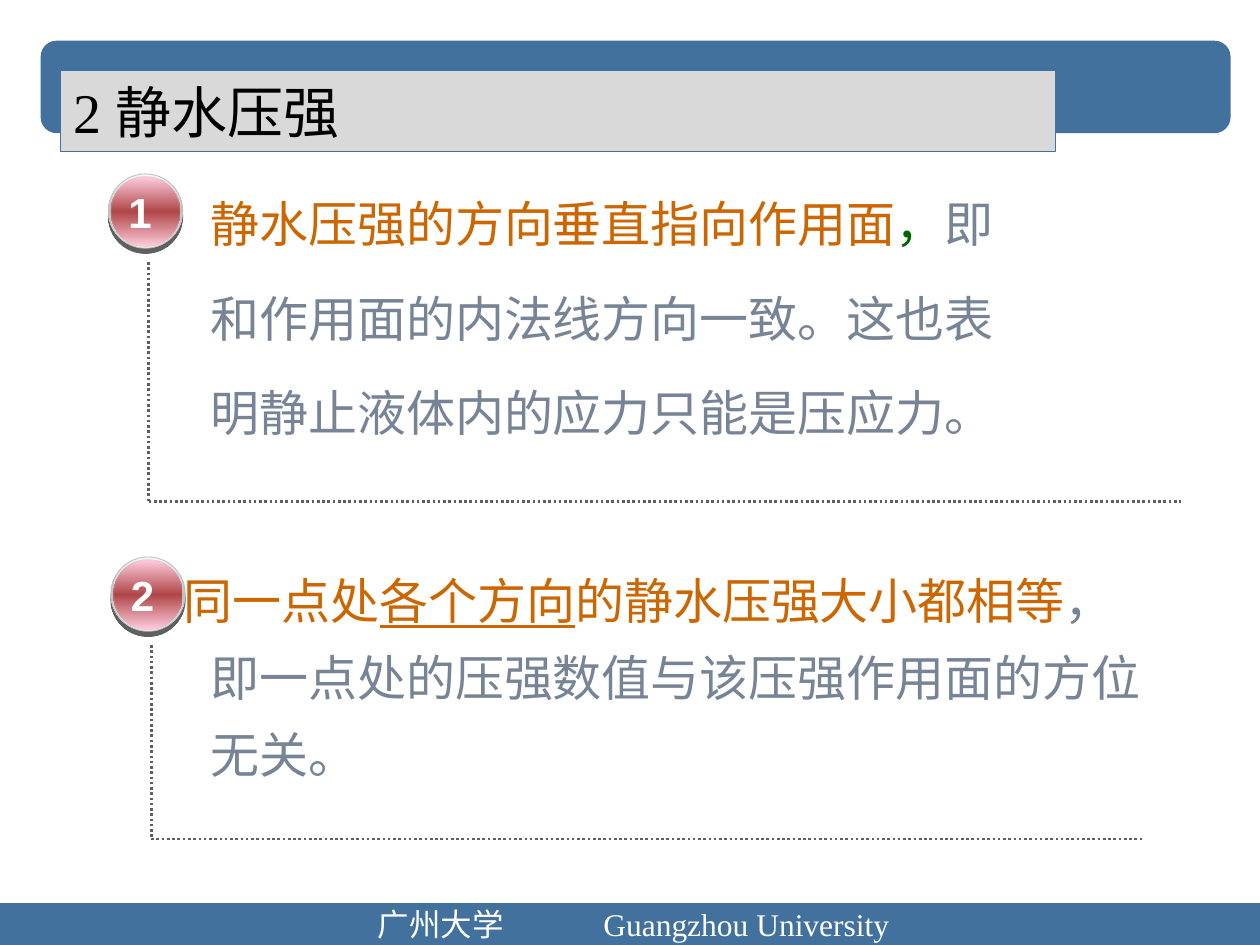
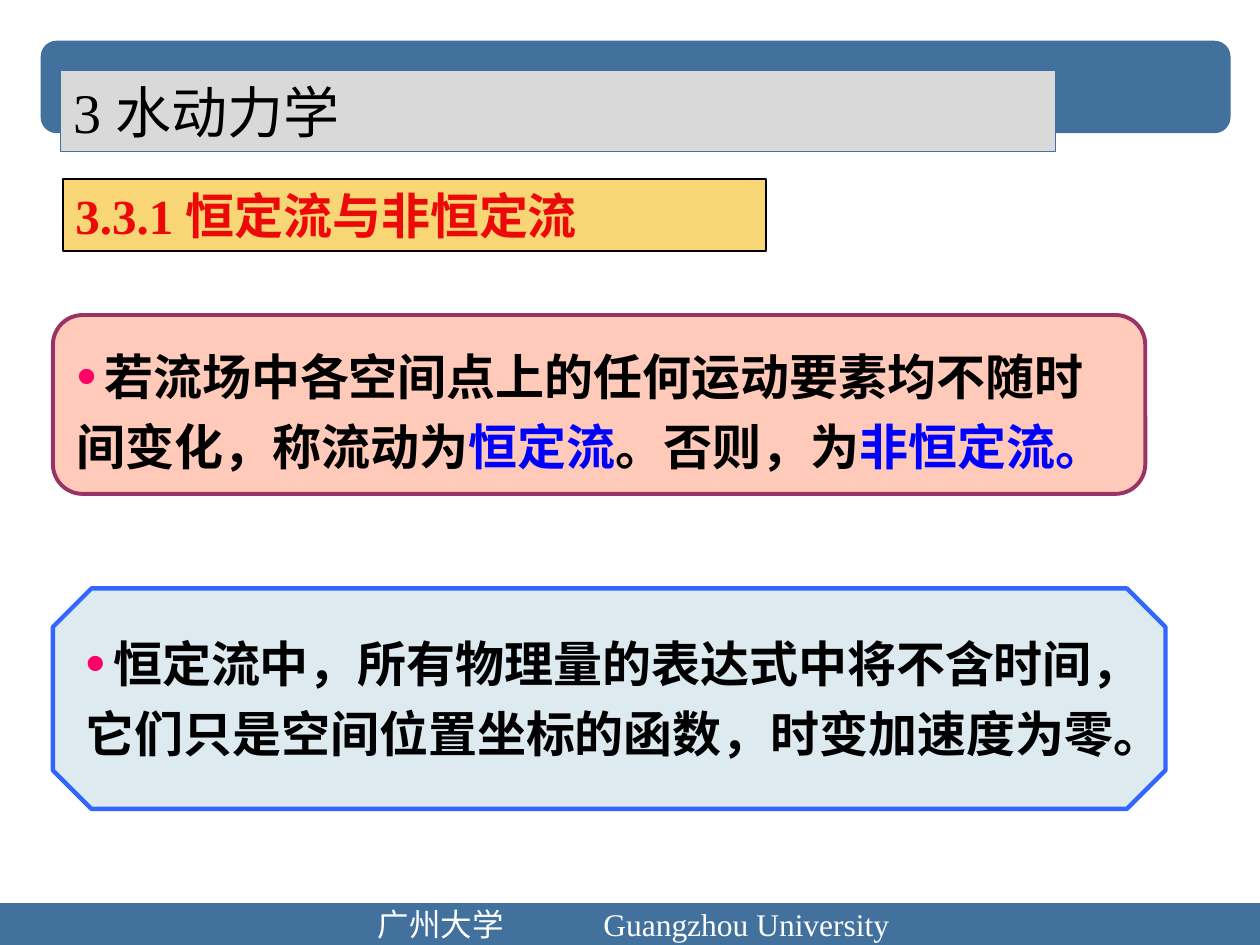
from dataclasses import dataclass

from lxml import etree
from pptx import Presentation
from pptx.dml.color import RGBColor
from pptx.enum.dml import MSO_LINE
from pptx.enum.shapes import MSO_CONNECTOR, MSO_SHAPE as SHAPE
from pptx.enum.text import MSO_ANCHOR as ANCHOR, MSO_AUTO_SIZE as AUTO_SIZE, PP_ALIGN as ALIGN
from pptx.oxml.ns import qn
from pptx.util import Inches, Pt


@dataclass(frozen=True)
class Theme:
    # Fonts
    serif: str = "Times New Roman"
    sans: str = "Arial"
    chinese: str = "Noto Sans CJK SC"
    # Type sizes
    title_size: int = 32
    body_size: int = 28
    badge_size: int = 24
    bullet_gap_size: int = 20
    footer_size: int = 18
    # Colours
    band: str = "41719C"
    title_fill: str = "D9D9D9"
    white: str = "FFFFFF"
    black: str = "000000"
    orange: str = "CC6600"
    green: str = "006600"
    slate: str = "778495"
    blue: str = "0000FF"
    red: str = "EB0909"
    pink: str = "FF0066"
    heading_fill: str = "F8D575"
    peach: str = "FFCAB9"
    plum: str = "993366"
    ice: str = "BCD7E2"
    royal: str = "3366FF"
    dark_grey: str = "5F5F5F"
    rim: str = "BFBFBF"
    rim_gradient: tuple = ("F9F9F9", "BFBFBF", "F9F9F9")
    ball_gradient: tuple = ("FFCDDE", "B04648", "FFCDDE")


def add_xml(parent, tag, **attributes):
    return etree.SubElement(parent, qn(tag), {key: str(value) for key, value in attributes.items()})


def set_alpha(properties, percent):
    """Make the solid colour inside the given element translucent."""
    color = properties.find(qn("a:solidFill")).find(qn("a:srgbClr"))
    add_xml(color, "a:alpha", val=percent * 1000)


class Deck:
    """Holds the theme and the slide being built."""

    def __init__(self, theme):
        self.theme = theme
        self.presentation = Presentation()
        self.presentation.slide_width = Inches(10)
        self.presentation.slide_height = Inches(7.5)
        self.slide = None

    def new_slide(self, title):
        first = self.slide is None
        layout = self.presentation.slide_layouts[3]
        self.slide = self.presentation.slides.add_slide(layout)
        if first:
            self.master_bands()
        self.title(title)

    def master_bands(self):
        """Build the top band and the footer, and hand them to the master."""
        theme = self.theme
        top_band = self.box(SHAPE.ROUNDED_RECTANGLE, (0.33, 0.33, 9.43, 0.72), theme.band, theme.band)
        bottom_band = self.box(SHAPE.RECTANGLE, (0, 7.17, 10, 0.33), theme.band, theme.band)
        footer = self.text((2.9, 7.13, 5.35, 0.4), "广州大学\tGuangzhou University",
                           theme.serif, theme.footer_size, theme.white)
        properties = footer.text_frame.paragraphs[0]._p.get_or_add_pPr()
        tabs = etree.Element(qn("a:tabLst"))
        add_xml(tabs, "a:tab", pos=Inches(1.79), algn="l")
        properties.insert(list(properties).index(properties.find(qn("a:defRPr"))), tabs)
        master_tree = self.presentation.slide_master.shapes.element
        for number, shape in enumerate((top_band, bottom_band, footer), start=101):
            shape.element.nvSpPr.cNvPr.set("id", str(number))
            master_tree.append(shape.element)

    # Shapes and lines

    def place(self, shape, at):
        shape.left, shape.top, shape.width, shape.height = map(Inches, at)

    def paint(self, shape, fill, line, weight):
        shape.fill.solid()
        shape.fill.fore_color.rgb = RGBColor.from_string(fill)
        shape.line.color.rgb = RGBColor.from_string(line)
        shape.line.width = Pt(weight)

    def box(self, kind, at, fill, line, weight=1, adjust=None, alpha=None, shapes=None):
        shapes = self.slide.shapes if shapes is None else shapes
        shape = shapes.add_shape(kind, *map(Inches, at))
        shape.shadow.inherit = False
        self.paint(shape, fill, line, weight)
        if adjust is not None:
            shape.adjustments[0] = adjust
        if alpha is not None:
            set_alpha(shape.element.spPr, alpha)
        return shape

    def ball(self, shapes, at, gradient, weight):
        shape = self.box(SHAPE.OVAL, at, gradient[1], self.theme.rim, weight, shapes=shapes)
        shape.fill.gradient()
        shape.fill.gradient_angle = 90
        stops = shape.element.spPr.find(qn("a:gradFill")).find(qn("a:gsLst"))
        for stop in list(stops):
            stops.remove(stop)
        for position, color in zip((0, 50000, 100000), gradient):
            add_xml(add_xml(stops, "a:gs", pos=position), "a:srgbClr", val=color)
        return shape

    def dotted_line(self, shapes, start, end):
        points = map(Inches, (*start, *end))
        line = shapes.add_connector(MSO_CONNECTOR.STRAIGHT, *points)
        line.line.color.rgb = RGBColor.from_string(self.theme.dark_grey)
        line.line.width = Pt(1.5)
        line.line.dash_style = MSO_LINE.ROUND_DOT
        add_xml(line.element.spPr, "a:effectLst")

    def numbered_frame(self, number, left, top, right, bottom):
        """A glossy numbered ball with a dotted stem and a dotted base line."""
        theme = self.theme
        shapes = self.slide.shapes.add_group_shape().shapes
        rim = self.ball(shapes, (left, top, 0.59, 0.59), theme.rim_gradient, 0.5)
        effects = rim.element.spPr.find(qn("a:effectLst"))
        shadow = add_xml(effects, "a:outerShdw", blurRad=0, dist=Pt(3), dir=5400000, rotWithShape=0)
        add_xml(shadow, "a:srgbClr", val=theme.dark_grey)
        face = self.ball(shapes, (left + 0.02, top + 0.02, 0.55, 0.56), theme.ball_gradient, 0.75)
        set_alpha(face.element.spPr.find(qn("a:ln")), 20)
        self.text((left + 0.06, top + 0.05, 0.5, 0.5), str(number), theme.sans,
                  theme.badge_size, theme.white, bold=True, shapes=shapes)
        corner = (left + 0.32, bottom)
        self.dotted_line(shapes, (left + 0.32, top + 0.7), corner)
        self.dotted_line(shapes, corner, (right, bottom))

    # Text

    def style(self, paragraph, font_name, size, bold=False, color=None):
        font = paragraph.font
        font.name, font.size, font.bold = font_name, Pt(size), bold
        if color:
            font.color.rgb = RGBColor.from_string(color)
        defaults = paragraph._p.get_or_add_pPr().get_or_add_defRPr()
        add_xml(defaults, "a:ea", typeface=self.theme.chinese)

    def one_line(self, shape, text, font_name, size, color, bold=False):
        frame = shape.text_frame
        frame.word_wrap = True
        frame.auto_size = AUTO_SIZE.NONE
        frame.vertical_anchor = ANCHOR.MIDDLE
        frame.text = text
        paragraph = frame.paragraphs[0]
        paragraph.alignment = ALIGN.LEFT
        self.style(paragraph, font_name, size, bold, color)

    def text(self, at, text, font_name, size, color, bold=False, shapes=None):
        shapes = self.slide.shapes if shapes is None else shapes
        shape = shapes.add_textbox(*map(Inches, at))
        self.one_line(shape, text, font_name, size, color, bold)
        return shape

    def title(self, text):
        theme = self.theme
        shape = self.slide.shapes.title
        self.place(shape, (0.48, 0.56, 7.9, 0.64))
        self.paint(shape, theme.title_fill, theme.band, 0.75)
        self.one_line(shape, text, theme.serif, theme.title_size, theme.black)

    def heading(self, at, text):
        theme = self.theme
        shape = self.box(SHAPE.RECTANGLE, at, theme.heading_fill, theme.black)
        self.one_line(shape, text, theme.serif, theme.body_size, theme.red, bold=True)

    def body(self, index, at, paragraphs, spacings, before=0, margin=0, indent=0, bullet=False):
        """Fill a body placeholder; each run is (text, colour, underlined)."""
        theme = self.theme
        shape = self.slide.placeholders[index]
        self.place(shape, at)
        self.slide.shapes.element.append(shape.element)
        frame = shape.text_frame
        frame.word_wrap = True
        frame.auto_size = AUTO_SIZE.NONE
        frame.vertical_anchor = ANCHOR.TOP
        frame.margin_top = Inches(0.08)
        for number, (runs, spacing) in enumerate(zip(paragraphs, spacings)):
            paragraph = frame.add_paragraph() if number else frame.paragraphs[0]
            properties = paragraph._p.get_or_add_pPr()
            properties.set("marL", str(Inches(margin)))
            properties.set("indent", str(Inches(indent)))
            self.bullet(properties, bullet)
            paragraph.alignment = ALIGN.LEFT
            paragraph.line_spacing = Pt(spacing)
            paragraph.space_before = Pt(before if number else 0)
            self.style(paragraph, theme.chinese, theme.body_size, bold=bullet)
            if bullet:
                gap = paragraph.add_run()
                gap.text = " "
                gap.font.size = Pt(theme.bullet_gap_size)
            for text, color, *underlined in runs:
                run = paragraph.add_run()
                run.text = text
                run.font.color.rgb = RGBColor.from_string(color)
                if underlined:
                    run.font.underline = True

    def bullet(self, properties, shown):
        if not shown:
            add_xml(properties, "a:buNone")
            return
        add_xml(add_xml(properties, "a:buClr"), "a:srgbClr", val=self.theme.pink)
        add_xml(properties, "a:buSzPct", val=160000)
        add_xml(properties, "a:buFont", typeface=self.theme.sans)
        add_xml(properties, "a:buChar", char="•")


def pressure_slide(deck):
    theme = deck.theme
    deck.new_slide("2 静水压强")
    deck.numbered_frame(1, 0.86, 1.38, right=9.37, bottom=3.98)
    deck.numbered_frame(2, 0.88, 4.42, right=9.07, bottom=6.66)
    deck.body(1, (1.57, 1.23, 7.48, 2.68), [
        [("静水压强的方向垂直指向作用面", theme.orange), ("，", theme.green), ("即", theme.slate)],
        [("和作用面的内法线方向一致。这也表", theme.slate)],
        [("明静止液体内的应力只能是压应力。", theme.slate)],
    ], spacings=(50, 44, 44), before=10)
    deck.body(2, (1.19, 4.3, 8.05, 2.62), [[
        ("同一点处", theme.orange),
        ("各个方向", theme.orange, True),
        ("的静水压强大小都相等", theme.orange),
        ("，即一点处的压强数值与该压强作用面的方位无关。", theme.slate),
    ]], spacings=(44,), margin=0.38, indent=-0.21)


def steady_flow_slide(deck):
    theme = deck.theme
    deck.new_slide("3 水动力学")
    deck.heading((0.5, 1.42, 5.58, 0.57), "3.3.1 恒定流与非恒定流")
    # Definition
    deck.box(SHAPE.ROUNDED_RECTANGLE, (0.42, 2.5, 8.67, 1.42), theme.peach, theme.plum, 2.25)
    deck.body(1, (0.51, 2.58, 8.5, 1.22), [[
        ("若流场中各空间点上的任何运动要素均不随时间变化，称流动为", theme.black),
        ("恒定流", theme.blue),
        ("。否则，为", theme.black),
        ("非恒定流。", theme.blue),
    ]], spacings=(40,), bullet=True)
    # Consequence
    deck.box(SHAPE.OCTAGON, (0.42, 4.67, 8.83, 1.75), theme.ice, theme.royal, 2.5,
             adjust=0.175, alpha=50)
    deck.body(2, (0.58, 4.86, 8.9, 1.22), [[
        ("恒定流中，所有物理量的表达式中将不含时间，它们只是空间位置坐标的函数，时变加速度为零。",
         theme.black),
    ]], spacings=(40,), bullet=True)


def main():
    deck = Deck(Theme())
    pressure_slide(deck)
    steady_flow_slide(deck)
    deck.presentation.save("out.pptx")


if __name__ == "__main__":
    main()
